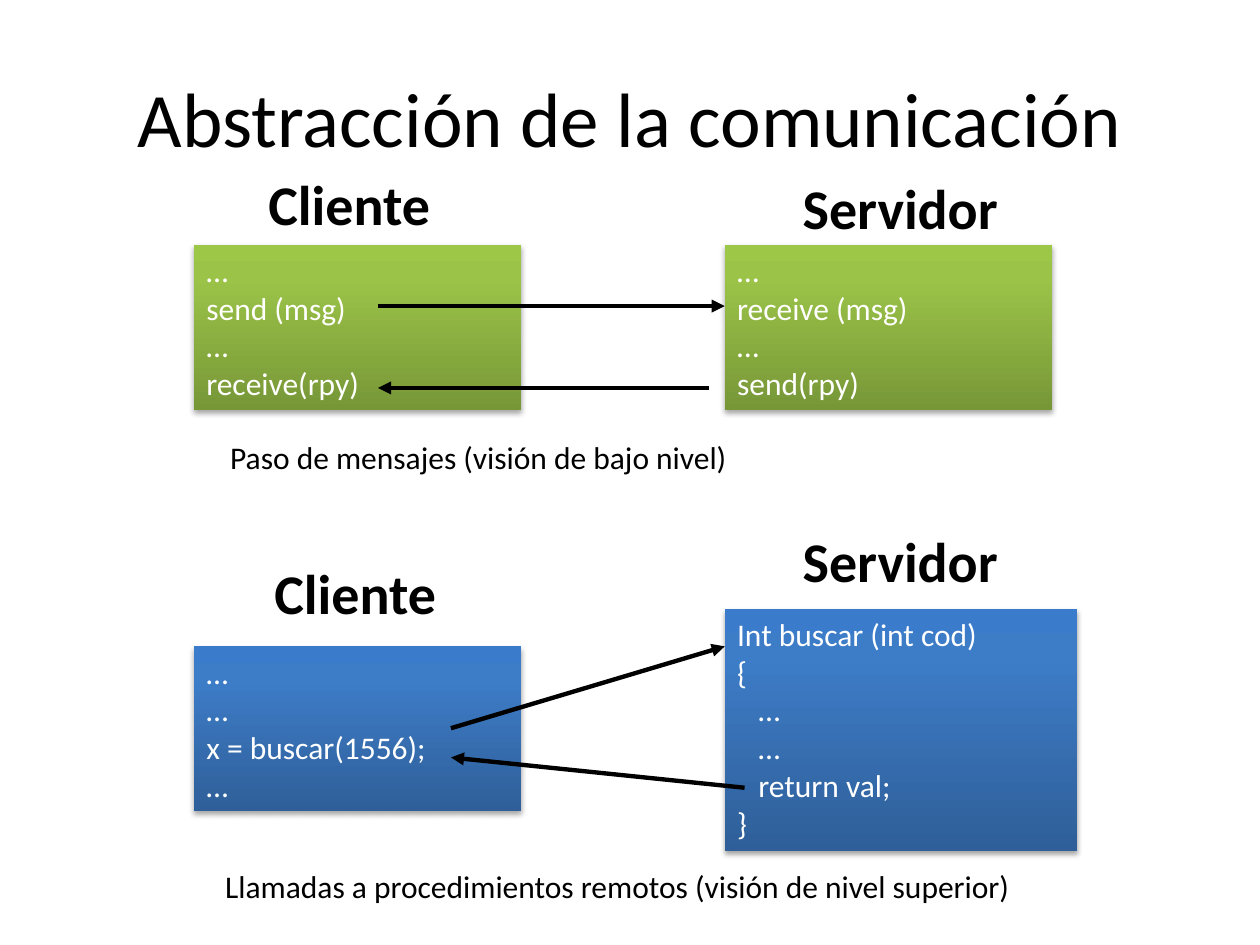
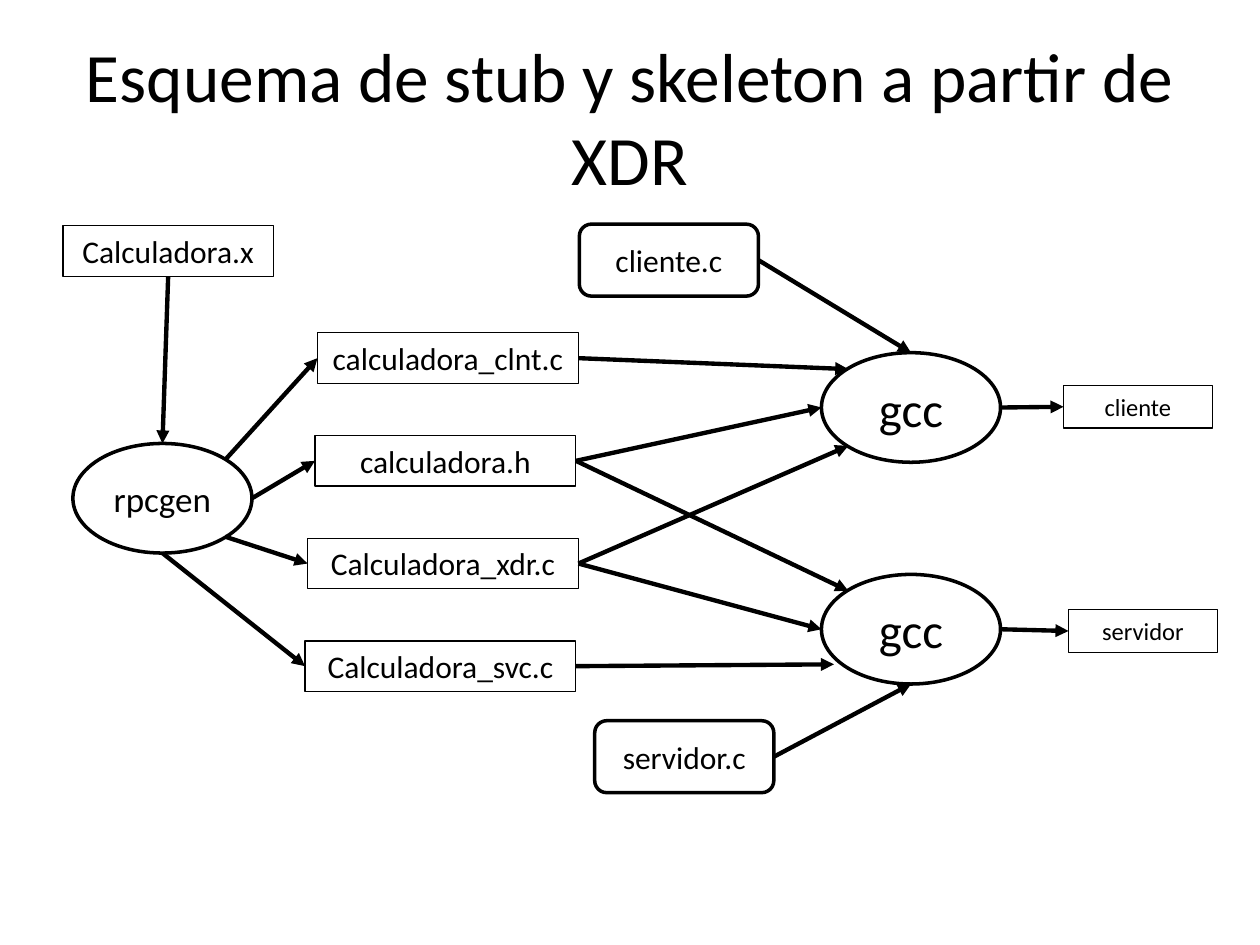
from copy import deepcopy

from pptx import Presentation
from pptx.dml.color import RGBColor
from pptx.enum.shapes import MSO_CONNECTOR, MSO_SHAPE as SHAPE
from pptx.enum.text import MSO_ANCHOR as ANCHOR, MSO_AUTO_SIZE as AUTO, PP_ALIGN as ALIGN
from pptx.oxml.ns import qn
from pptx.util import Cm, Pt
from lxml.etree import SubElement

FONT = "Calibri"
COLORS = {"ink": "000000", "paper": "FFFFFF"}
GRADIENTS = {
    "green": ("779737", "9BC348", "9DC746"),
    "blue": ("2F5F99", "3D7CC7", "3A7CCB"),
}
STOPS = (0, 0.8, 1)
PORTS = {
    "top": (0.5, 0), "bottom": (0.5, 1), "left": (0, 0.5), "right": (1, 0.5),
    "top left": (0.15, 0.15), "top right": (0.85, 0.15),
    "bottom left": (0.15, 0.85), "bottom right": (0.85, 0.85),
    "low left": (0.07, 0.82),
}


def rgb(name):
    return RGBColor.from_string(COLORS[name])


def write(sp, text, size=18, color="ink", bold=False, align=ALIGN.LEFT,
          anchor=ANCHOR.TOP, wrap=True, grow=False):
    tf = sp.text_frame
    tf.word_wrap = wrap
    tf.auto_size = AUTO.SHAPE_TO_FIT_TEXT if grow else AUTO.NONE
    tf.vertical_anchor = anchor
    for i, line in enumerate(text.split("\n")):
        p = tf.paragraphs[0] if i == 0 else tf.add_paragraph()
        p.alignment = align
        if line.startswith("\t"):
            p._p.get_or_add_pPr().set("marL", str(Cm(0.43)))
        r = p.add_run()
        r.text = line.strip()
        r.font.name, r.font.size, r.font.bold = FONT, Pt(size), bold
        r.font.color.rgb = rgb(color)


def add_text(slide, box, text, **fmt):
    sp = slide.shapes.add_textbox(*map(Cm, box))
    write(sp, text, **fmt)


def add_title(slide, text, size=44):
    add_text(slide, (1.27, 0.76, 22.86, 3.18), text, size=size,
             align=ALIGN.CENTER, anchor=ANCHOR.MIDDLE)


def add_label(slide, box, text, **fmt):
    add_text(slide, box, text, wrap=False, grow=True, **fmt)


def add_code(slide, box, gradient, text):
    sp = slide.shapes.add_shape(SHAPE.RECTANGLE, *map(Cm, box))
    sp.line.fill.background()
    sp.fill.gradient()
    sp.fill.gradient_angle = 90
    stops = sp._element.spPr.find(qn("a:gradFill")).find(qn("a:gsLst"))
    stops.append(deepcopy(stops[-1]))
    for stop, position, color in zip(sp.fill.gradient_stops, STOPS, GRADIENTS[gradient]):
        stop.position = position
        stop.color.rgb = RGBColor.from_string(color)
    add_shadow(sp)
    write(sp, text, color="paper", grow=True)


def add_shadow(sp):
    sp.shadow.inherit = False
    effects = sp._element.spPr.find(qn("a:effectLst"))
    shadow = SubElement(effects, qn("a:outerShdw"), blurRad=str(Pt(3.1)),
                        dist=str(Pt(1.8)), dir="5400000", rotWithShape="0")
    color = SubElement(shadow, qn("a:srgbClr"), val=COLORS["ink"])
    SubElement(color, qn("a:alpha"), val="35000")


def add_node(slide, kind, box, text, size=18, line=2, **fmt):
    sp = slide.shapes.add_shape(kind, *map(Cm, box))
    sp.shadow.inherit = False
    sp.fill.background()
    sp.line.color.rgb = rgb("ink")
    sp.line.width = Pt(line)
    write(sp, text, size=size, align=ALIGN.CENTER, **fmt)
    return sp


def add_file(slide, box, text, size=18):
    return add_node(slide, SHAPE.RECTANGLE, box, text, size, line=0.75, grow=True)


def add_source(slide, x, y, text):
    return add_node(slide, SHAPE.ROUNDED_RECTANGLE, (x, y, 3.61, 1.45), text,
                    anchor=ANCHOR.MIDDLE)


def add_tool(slide, x, y, text, size=28):
    return add_node(slide, SHAPE.OVAL, (x, y, 3.61, 2.21), text, size,
                    anchor=ANCHOR.MIDDLE)


def add_arrow(slide, start, end):
    cx = slide.shapes.add_connector(MSO_CONNECTOR.STRAIGHT, *start, *end)
    cx.line.color.rgb = rgb("ink")
    cx.line.width = Pt(2.5)
    spPr = cx._element.spPr
    SubElement(spPr.find(qn("a:ln")), qn("a:tailEnd"), type="triangle")
    SubElement(spPr, qn("a:effectLst"))


def port(sp, side):
    fx, fy = PORTS[side]
    return int(sp.left + fx * sp.width), int(sp.top + fy * sp.height)


def build_communication(slide):
    add_title(slide, "Abstracción de la comunicación")
    client_x, server_x = 3.91, 14.61
    add_code(slide, (client_x, 4.93, 6.6, 3.33), "green",
             "…\nsend (msg)\n…\nreceive(rpy)")
    add_code(slide, (server_x, 4.93, 6.6, 3.33), "green",
             "…\nreceive (msg)\n…\nsend(rpy)")
    add_code(slide, (client_x, 13.03, 6.6, 3.33), "blue",
             "…\n…\nx = buscar(1556);\n…")
    add_code(slide, (server_x, 12.27, 7.11, 4.88), "blue",
             "Int buscar (int cod)\n{\n\t…\n\t…\n\treturn val;\n}")
    for x1, y1, x2, y2 in ((7.62, 6.17, server_x, 6.17), (14.3, 7.82, 7.62, 7.82),
                           (9.09, 14.68, server_x, 13.03), (15.01, 15.88, 9.09, 15.27)):
        add_arrow(slide, (Cm(x1), Cm(y1)), (Cm(x2), Cm(y2)))
    for x, y, w, text in ((5.16, 3.3, 3.81, "Cliente"), (15.93, 3.38, 4.5, "Servidor"),
                          (5.28, 11.13, 3.81, "Cliente"), (15.93, 10.49, 4.5, "Servidor")):
        add_label(slide, (x, y, w, 1.63), text, size=32, bold=True)
    add_label(slide, (4.39, 8.71, 10.64, 1.02), "Paso de mensajes (visión de bajo nivel)")
    add_label(slide, (4.29, 17.35, 16.51, 1.02),
              "Llamadas a procedimientos remotos (visión de nivel superior)")


def build_scheme(slide):
    add_title(slide, "Esquema de stub y skeleton a partir de XDR", size=39.6)
    spec_file = add_file(slide, (1.27, 4.55, 4.24, 1.02), "Calculadora.x")
    rpcgen = add_tool(slide, 1.47, 8.94, "rpcgen", size=20)
    generated = ((6.4, 5.26, "calculadora_clnt.c"), (6.35, 5.26, "calculadora.h"),
                 (6.2, 5.46, "Calculadora_xdr.c"), (6.15, 5.46, "Calculadora_svc.c"))
    stub, header, xdr, skeleton = [
        add_file(slide, (x, 6.71 + 2.07 * i, w, 1.02), text)
        for i, (x, w, text) in enumerate(generated)]
    client_gcc = add_tool(slide, 16.56, 7.11, "gcc")
    server_gcc = add_tool(slide, 16.56, 11.58, "gcc")
    client_source = add_source(slide, 11.68, 4.52, "cliente.c")
    server_source = add_source(slide, 11.99, 14.53, "servidor.c")
    client = add_file(slide, (21.44, 7.77, 3, 0.86), "cliente", size=14)
    server = add_file(slide, (21.54, 12.29, 3, 0.86), "servidor", size=14)
    for start, out, end, into in (
            (spec_file, "bottom", rpcgen, "top"),
            (rpcgen, "top right", stub, "left"),
            (rpcgen, "right", header, "left"),
            (rpcgen, "bottom right", xdr, "left"),
            (rpcgen, "bottom", skeleton, "left"),
            (client_source, "right", client_gcc, "top"),
            (stub, "right", client_gcc, "top left"),
            (header, "right", client_gcc, "left"),
            (xdr, "right", client_gcc, "bottom left"),
            (header, "right", server_gcc, "top left"),
            (xdr, "right", server_gcc, "left"),
            (skeleton, "right", server_gcc, "low left"),
            (server_source, "right", server_gcc, "bottom"),
            (client_gcc, "right", client, "left"),
            (server_gcc, "right", server, "left")):
        add_arrow(slide, port(start, out), port(end, into))


def main():
    prs = Presentation()
    prs.slide_width, prs.slide_height = Cm(25.4), Cm(19.05)
    for build in (build_communication, build_scheme):
        build(prs.slides.add_slide(prs.slide_layouts[6]))
    prs.save("out.pptx")


main()
